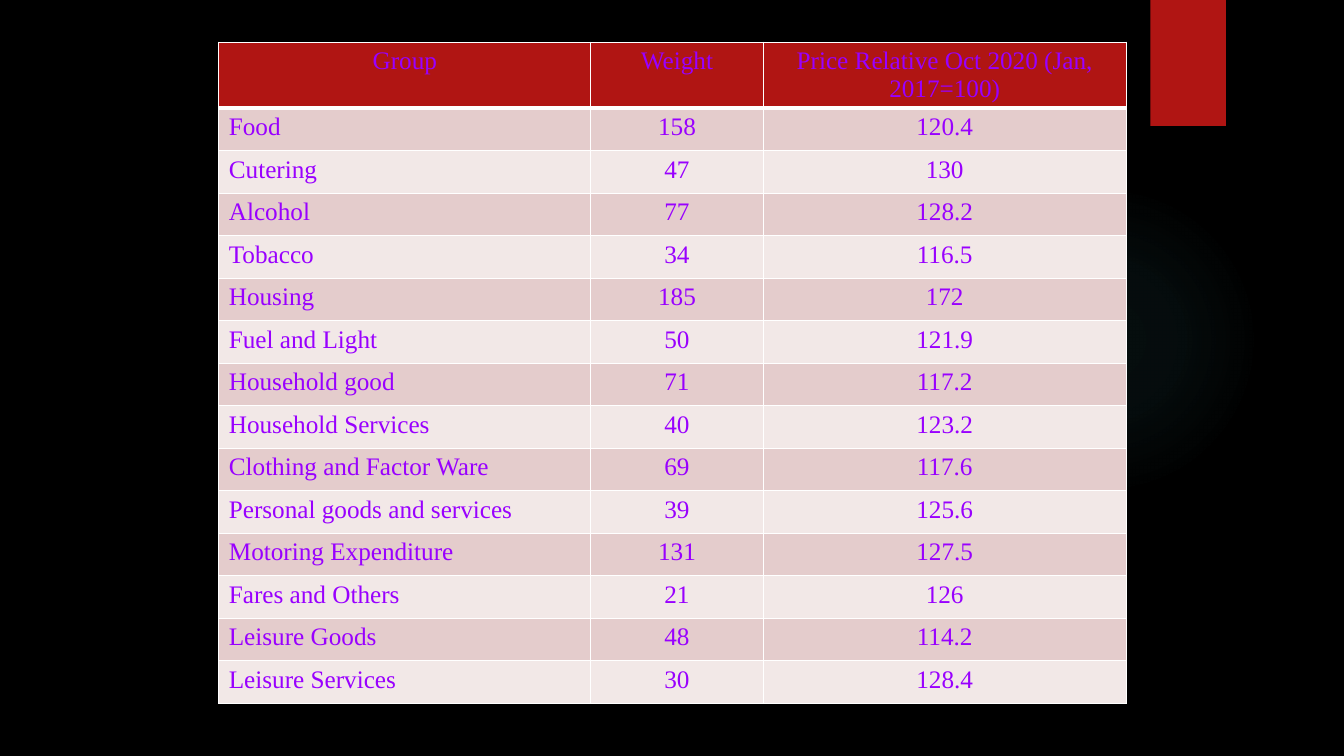
from typing import NamedTuple

from pptx import Presentation
from pptx.dml.color import RGBColor
from pptx.enum.shapes import MSO_SHAPE as Shape
from pptx.enum.text import PP_ALIGN as Align
from pptx.oxml import parse_xml
from pptx.oxml.ns import nsdecls
from pptx.util import Inches, Pt

BLACK = RGBColor(0x00, 0x00, 0x00)
RED = RGBColor(0xB0, 0x15, 0x13)
PURPLE = RGBColor(0x99, 0x00, 0xFF)
PINK = RGBColor(0xE4, 0xCC, 0xCC)
PALE_PINK = RGBColor(0xF2, 0xE8, 0xE7)
WHITE = RGBColor(0xFF, 0xFF, 0xFF)
TEAL = RGBColor(0x50, 0xB9, 0xC1)

FONT = {"name": "Times New Roman", "size": Pt(18), "bold": False}
COLUMN_WIDTHS = (3.69, 1.71, 3.6)
GLOW_STOPS = ((0, 7), (36, 6), (69, 0))  # position %, opacity %


class PriceGroup(NamedTuple):
    group: str
    weight: str
    price_relative: str


HEADER = PriceGroup("Group", "Weight", "Price Relative Oct 2020 (Jan, 2017=100)")
GROUPS = (
    PriceGroup("Food", "158", "120.4"),
    PriceGroup("Cutering", "47", "130"),
    PriceGroup("Alcohol", "77", "128.2"),
    PriceGroup("Tobacco", "34", "116.5"),
    PriceGroup("Housing", "185", "172"),
    PriceGroup("Fuel and Light", "50", "121.9"),
    PriceGroup("Household good", "71", "117.2"),
    PriceGroup("Household Services", "40", "123.2"),
    PriceGroup("Clothing and Factor Ware", "69", "117.6"),
    PriceGroup("Personal goods and services", "39", "125.6"),
    PriceGroup("Motoring Expenditure", "131", "127.5"),
    PriceGroup("Fares and Others", "21", "126"),
    PriceGroup("Leisure Goods", "48", "114.2"),
    PriceGroup("Leisure Services", "30", "128.4"),
)


def add_plain_shape(slide, kind: Shape, left: float, top: float, width: float, height: float):
    sp = slide.shapes.add_shape(kind, Inches(left), Inches(top), Inches(width), Inches(height))
    sp.shadow.inherit = False
    sp.line.fill.background()
    return sp


def add_glow(slide) -> None:
    sp = add_plain_shape(slide, Shape.OVAL, 9.41, 1.83, 3.08, 3.08)
    sp.fill.background()
    stops = "".join(
        f'<a:gs pos="{pos * 1000}"><a:srgbClr val="{TEAL}">'
        f'<a:alpha val="{opacity * 1000}"/></a:srgbClr></a:gs>'
        for pos, opacity in GLOW_STOPS
    )
    gradient = parse_xml(
        f'<a:gradFill {nsdecls("a")}><a:gsLst>{stops}</a:gsLst><a:path path="circle">'
        '<a:fillToRect l="50000" t="50000" r="50000" b="50000"/></a:path></a:gradFill>'
    )
    sp_pr = sp.element.spPr
    sp_pr.replace(sp_pr.find("{*}noFill"), gradient)


def add_red_tab(slide) -> None:
    sp = add_plain_shape(slide, Shape.RECTANGLE, 11.41, 0, 0.75, 1.25)
    sp.fill.solid()
    sp.fill.fore_color.rgb = RED
    sp.element.spPr.find("{*}effectLst").append(parse_xml(
        f'<a:outerShdw {nsdecls("a")} blurRad="{Pt(3)}" dist="{Pt(2)}" dir="5400000">'
        f'<a:srgbClr val="{BLACK}"><a:alpha val="45000"/></a:srgbClr></a:outerShdw>'
    ))


def set_borders(cell, bottom: float) -> None:
    """Draw white 1 pt borders, with a bottom border of the given points."""
    tc_pr = cell._tc.get_or_add_tcPr()
    for side, width in {"L": 1, "R": 1, "T": 1, "B": bottom}.items():
        tc_pr.append(parse_xml(
            f'<a:ln{side} {nsdecls("a")} w="{Pt(width)}"><a:solidFill>'
            f'<a:srgbClr val="{WHITE}"/></a:solidFill></a:ln{side}>'
        ))


def fill_cell(cell, text: str, fill: RGBColor, align: Align, bottom: float) -> None:
    set_borders(cell, bottom)
    cell.fill.solid()
    cell.fill.fore_color.rgb = fill
    p = cell.text_frame.paragraphs[0]
    p.alignment = align
    r = p.add_run()
    r.text = text
    for name, value in FONT.items():
        setattr(r.font, name, value)
    r.font.color.rgb = PURPLE


def add_price_table(slide) -> None:
    rows = (HEADER, *GROUPS)
    table = slide.shapes.add_table(
        len(rows), len(COLUMN_WIDTHS), Inches(2.17), Inches(0.42), Inches(9), Inches(6.33)
    ).table
    for column, width in zip(table.columns, COLUMN_WIDTHS):
        column.width = Inches(width)
    for i, row in enumerate(rows):
        is_header = i == 0
        fill = RED if is_header else PINK if i % 2 else PALE_PINK
        for j, text in enumerate(row):
            align = Align.CENTER if is_header or j else Align.LEFT
            fill_cell(table.cell(i, j), text, fill, align, 3 if is_header else 1)


def main() -> None:
    prs = Presentation()
    prs.slide_width, prs.slide_height = Inches(13.33), Inches(7.5)
    slide = prs.slides.add_slide(prs.slide_layouts[6])
    slide.background.fill.solid()
    slide.background.fill.fore_color.rgb = BLACK
    add_glow(slide)
    add_red_tab(slide)
    add_price_table(slide)
    prs.save("out.pptx")


if __name__ == "__main__":
    main()
